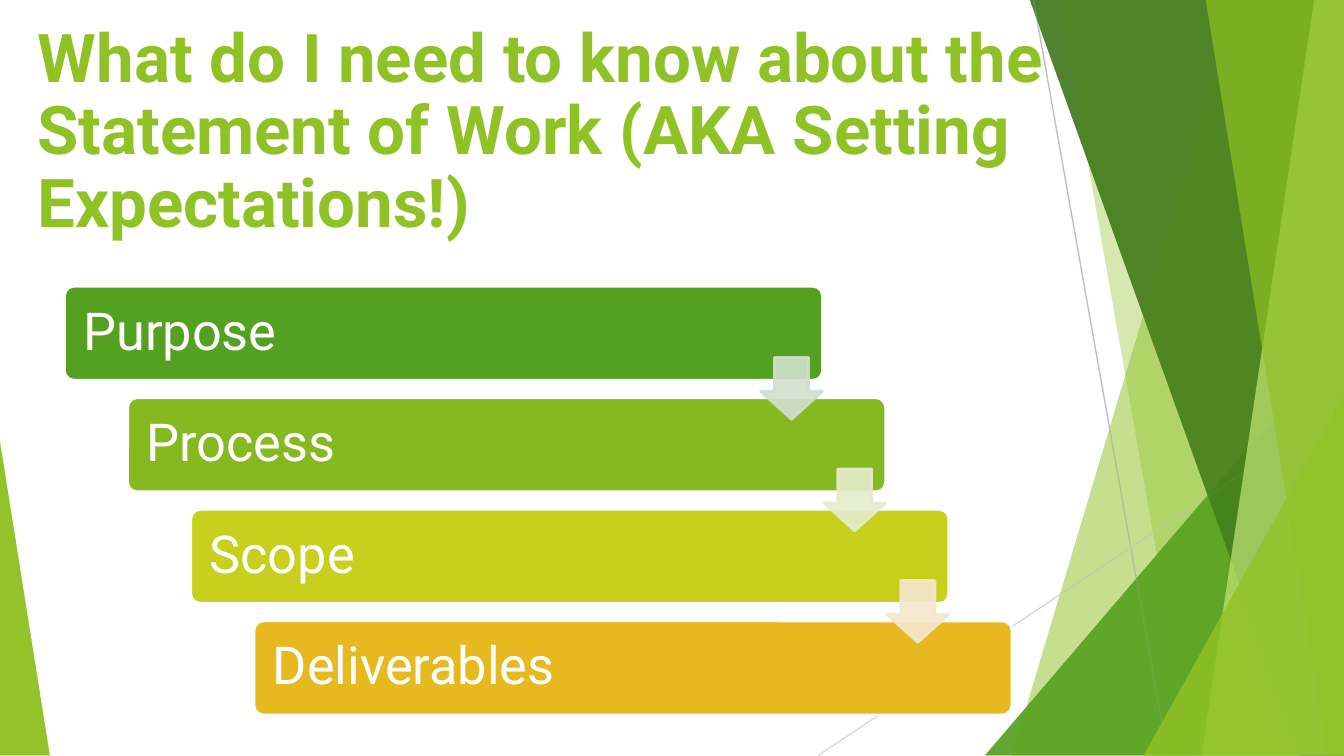
"""Build the Statement of Work slide with its four cascading steps."""
from dataclasses import dataclass

from lxml import etree
from pptx import Presentation
from pptx.dml.color import RGBColor
from pptx.enum.shapes import MSO_CONNECTOR, MSO_SHAPE
from pptx.enum.text import MSO_ANCHOR, MSO_AUTO_SIZE, PP_ALIGN
from pptx.oxml.ns import qn
from pptx.util import Inches, Pt

TRIANGLE = MSO_SHAPE.ISOSCELES_TRIANGLE
ROUNDED = MSO_SHAPE.ROUNDED_RECTANGLE
DOWN_ARROW = MSO_SHAPE.DOWN_ARROW
STRAIGHT = MSO_CONNECTOR.STRAIGHT
TOP, MIDDLE = MSO_ANCHOR.TOP, MSO_ANCHOR.MIDDLE
LEFT = PP_ALIGN.LEFT
NO_AUTOFIT = MSO_AUTO_SIZE.NONE
TITLE_ONLY = 5


@dataclass(frozen=True)
class Theme:
    font: str = "Roboto"
    title_size: int = 36
    step_size: int = 28
    lime: str = "90C226"
    green: str = "54A021"
    forest: str = "3F7819"
    pale: str = "C0E474"
    white: str = "FFFFFF"
    steep_line: str = "BFBFBF"
    shallow_line: str = "D9D9D9"
    outline: float = 1.5
    hairline: float = 0.75


@dataclass(frozen=True)
class Box:
    left: float
    top: float
    width: float
    height: float

    def lengths(self) -> tuple:
        return tuple(Inches(n) for n in (self.left, self.top, self.width, self.height))


@dataclass(frozen=True)
class Ray:
    top_left: float
    bottom_left: float
    color: str
    opacity: int


@dataclass(frozen=True)
class Corner:
    box: Box
    apex: float
    color: str
    opacity: int


@dataclass(frozen=True)
class Step:
    label: str
    color: str
    arrow_color: str = ""


THEME = Theme()
RIGHT_EDGE, RAY_TOP, RAY_BOTTOM = 10, -0.01, 5.62
BACKDROP = (
    Ray(9.21, 7.53, THEME.lime, 30),
    Ray(7.88, 8.87, THEME.lime, 20),
    Corner(Box(7.33, 2.5, 2.67, 3.12), 1, THEME.green, 72),
    Ray(7.66, 9.68, THEME.forest, 70),
    Ray(9.78, 8.94, THEME.pale, 70),
    Ray(8.97, 9.88, THEME.lime, 65),
    Corner(Box(8.51, 2.94, 1.49, 2.68), 1, THEME.lime, 80),
    Corner(Box(0, 3.29, 0.37, 2.33), 0, THEME.lime, 85),
)
STEPS = (
    Step("Purpose", THEME.green, "D1DFCD"),
    Step("Process", "86B820", "E5ECCB"),
    Step("Scope", "C7D01D", "F5E7CD"),
    Step("Deliverables", "E6B91E"),
)
STEP_RIGHT, STEP_DOWN = 0.47, 0.83
TITLE = "What do I need to know about the Statement of Work (AKA Setting Expectations!)"


def set_values(target, values: dict) -> None:
    for name, value in values.items():
        setattr(target, name, value)


def paint(shape, color: str, line_color: str = "", opacity: int = 100) -> None:
    shape.shadow.inherit = False
    shape.fill.solid()
    shape.fill.fore_color.rgb = RGBColor.from_string(color)
    if line_color:
        shape.line.color.rgb = RGBColor.from_string(line_color)
        shape.line.width = Pt(THEME.outline)
    else:
        shape.line.fill.background()
    if opacity < 100:
        for element in shape._element.spPr.iter(qn("a:srgbClr")):
            etree.SubElement(element, qn("a:alpha"), val=str(opacity * 1000))


def write(shape, text: str, size: int, color: str, bold: bool, frame: dict) -> None:
    set_values(shape.text_frame, {"word_wrap": True, **frame})
    paragraph = shape.text_frame.paragraphs[0]
    paragraph.text = text
    set_values(paragraph, {"alignment": LEFT, "line_spacing": 0.9})
    set_values(paragraph.font, {"name": THEME.font, "size": Pt(size), "bold": bold})
    paragraph.font.color.rgb = RGBColor.from_string(color)


def draw_ray(slide, ray: Ray) -> None:
    start, *rest = [
        (Inches(x), Inches(y))
        for x, y in (
            (ray.top_left, RAY_TOP),
            (RIGHT_EDGE, RAY_TOP),
            (RIGHT_EDGE, RAY_BOTTOM),
            (ray.bottom_left, RAY_BOTTOM),
        )
    ]
    builder = slide.shapes.build_freeform(*start)
    builder.add_line_segments(rest, close=True)
    paint(builder.convert_to_shape(), ray.color, opacity=ray.opacity)


def draw_corner(slide, corner: Corner) -> None:
    shape = slide.shapes.add_shape(TRIANGLE, *corner.box.lengths())
    shape.adjustments[0] = corner.apex
    paint(shape, corner.color, opacity=corner.opacity)


def draw_backdrop(slide) -> None:
    for part in BACKDROP:
        if isinstance(part, Ray):
            draw_ray(slide, part)
        else:
            draw_corner(slide, part)


def draw_line(slide, start: tuple, end: tuple, color: str) -> None:
    points = [Inches(n) for n in (*start, *end)]
    connector = slide.shapes.add_connector(STRAIGHT, *points)
    connector.line.color.rgb = RGBColor.from_string(color)
    connector.line.width = Pt(THEME.hairline)
    etree.SubElement(connector._element.spPr, qn("a:effectLst"))


def draw_step(slide, index: int, step: Step) -> None:
    box = Box(0.48 + index * STEP_RIGHT, 2.13 + index * STEP_DOWN, 5.64, 0.7)
    shape = slide.shapes.add_shape(ROUNDED, *box.lengths())
    shape.adjustments[0] = 0.1
    paint(shape, step.color, THEME.white)
    frame = {"vertical_anchor": MIDDLE, "margin_left": Inches(0.12)}
    write(shape, step.label, THEME.step_size, THEME.white, False, frame)


def draw_arrow(slide, index: int, step: Step) -> None:
    box = Box(5.66 + index * STEP_RIGHT, 2.66 + index * STEP_DOWN, 0.46, 0.46)
    shape = slide.shapes.add_shape(DOWN_ARROW, *box.lengths())
    shape.adjustments[0], shape.adjustments[1] = 0.55, 0.45
    paint(shape, step.arrow_color, step.arrow_color, 90)


def place_title(slide) -> None:
    title = slide.shapes.title
    names = ("left", "top", "width", "height")
    set_values(title, dict(zip(names, Box(0.18, 0.13, 8.41, 1.08).lengths())))
    frame = {"vertical_anchor": TOP, "auto_size": NO_AUTOFIT}
    write(title, TITLE, THEME.title_size, THEME.lime, True, frame)


def main() -> None:
    presentation = Presentation()
    presentation.slide_width = Inches(10)
    presentation.slide_height = Inches(10 * 9 / 16)
    slide = presentation.slides.add_slide(presentation.slide_layouts[TITLE_ONLY])
    draw_backdrop(slide)
    draw_line(slide, (7.69, 0), (8.69, 5.63), THEME.steep_line)
    draw_line(slide, (10, 3.02), (6.09, 5.62), THEME.shallow_line)
    draw_backdrop(slide)
    place_title(slide)
    for index, step in enumerate(STEPS):
        draw_step(slide, index, step)
    for index, step in enumerate(STEPS[:-1]):
        draw_arrow(slide, index, step)
    presentation.save("out.pptx")


if __name__ == "__main__":
    main()
